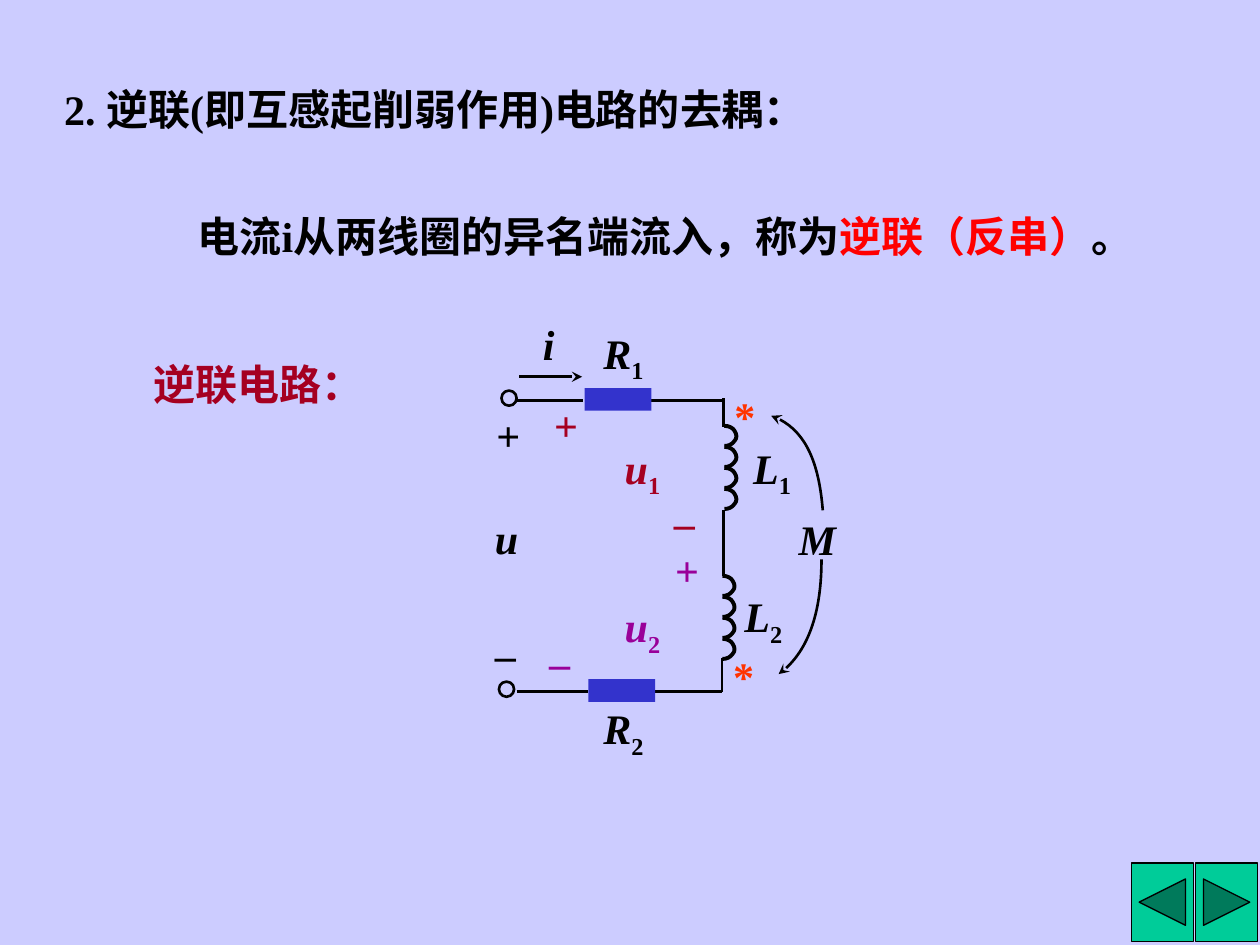
from pptx import Presentation
from pptx.dml.color import RGBColor
from pptx.enum.shapes import MSO_CONNECTOR, MSO_SHAPE
from pptx.enum.text import MSO_AUTO_SIZE
from pptx.oxml.ns import qn
from pptx.util import Inches, Pt
from lxml import etree

STRAIGHT = MSO_CONNECTOR.STRAIGHT
RECTANGLE = MSO_SHAPE.RECTANGLE
OVAL = MSO_SHAPE.OVAL
PREVIOUS = MSO_SHAPE.ACTION_BUTTON_BACK_OR_PREVIOUS
NEXT = MSO_SHAPE.ACTION_BUTTON_FORWARD_OR_NEXT
GROW = MSO_AUTO_SIZE.SHAPE_TO_FIT_TEXT

LAVENDER = RGBColor(0xCC, 0xCC, 0xFF)
BLACK = RGBColor(0, 0, 0)
RED = RGBColor(0xFF, 0, 0)
CRIMSON = RGBColor(0xA5, 0, 0x21)
PURPLE = RGBColor(0x99, 0, 0x99)
ORANGE = RGBColor(0xFF, 0x33, 0)
BLUE = RGBColor(0x33, 0x33, 0xCC)
GREEN = RGBColor(0, 0xCC, 0x99)

TURN = [(0, 0), (0.04, 0), (0.07, 0.02), (0.08, 0.04), (0.1, 0.07),
        (0.1, 0.1), (0.08, 0.12), (0.06, 0.15), (0.03, 0.16), (0, 0.16)]
TURN_COUNT = 4
TURN_PITCH = 0.5 / 3

WIRES = [
    ((4.1, 3.18), (4.63, 3.18)), ((5.17, 3.18), (5.74, 3.18)),
    ((5.74, 3.16), (5.74, 3.39)), ((5.74, 4.05), (5.74, 4.57)),
    ((5.73, 5.22), (5.73, 5.49)), ((5.2, 5.49), (5.73, 5.49)),
    ((4.1, 5.49), (4.67, 5.49)),
]
COUPLING_ARCS = [
    [(6.53, 4.05), (6.5, 3.67), (6.37, 3.38), (6.12, 3.3)],
    [(6.52, 4.44), (6.52, 4.85), (6.4, 5.2), (6.18, 5.35)],
]
VARIABLES = [
    (4.21, 2.48, 0.29, "i", "", BLACK), (3.83, 4.02, 0.39, "u", "", BLACK),
    (6.24, 4.03, 0.5, "M", "", BLACK),
    (4.69, 2.55, 0.54, "R", "1", BLACK), (4.69, 5.53, 0.54, "R", "2", BLACK),
    (5.88, 3.46, 0.54, "L", "1", BLACK), (5.81, 4.64, 0.54, "L", "2", BLACK),
    (4.86, 3.46, 0.5, "u", "1", CRIMSON), (4.86, 4.72, 0.5, "u", "2", PURPLE),
]
SIGNS = [
    (3.84, 3.2, 0.58, "+", BLACK), (3.83, 4.94, 0.42, "–", BLACK),
    (4.3, 3.12, 0.58, "+", CRIMSON), (5.25, 3.89, 0.42, "–", CRIMSON),
    (5.26, 4.27, 0.58, "+", PURPLE), (4.26, 5, 0.42, "–", PURPLE),
    (5.73, 3.05, 0.37, "*", ORANGE), (5.72, 5.11, 0.37, "*", ORANGE),
]


def style_line(line, width, arrow=False):
    """Draw a black line, with a stealth head at its end on request."""
    line.color.rgb = BLACK
    line.width = Pt(width)
    if arrow:
        etree.SubElement(line._get_or_add_ln(), qn("a:tailEnd"), type="stealth")


def add_text(page, left, top, width, spans, wrap=True):
    """Add a text box from (text, colour, italic, baseline) spans."""
    box = page.shapes.add_textbox(Inches(left), Inches(top), Inches(width), Inches(0.5))
    frame = box.text_frame
    frame.word_wrap = wrap
    frame.auto_size = GROW
    para = frame.paragraphs[0]
    for text, colour, italic, baseline in spans:
        span = para.add_run()
        span.text = text
        font = span.font
        font.name = "Times New Roman"
        font.size = Pt(24)
        font.bold = True
        font.italic = italic
        font.color.rgb = colour
        if baseline:
            font._element.set("baseline", str(baseline))


def add_variable(page, left, top, width, name, index, colour):
    """Add an italic symbol with an optional upright subscript."""
    spans = [(name, colour, True, 0)]
    if index:
        spans.append((index, colour, False, -25000))
    add_text(page, left, top, width, spans, wrap=False)


def add_line(page, start, end, arrow=False):
    """Add a straight wire or arrow."""
    line = page.shapes.add_connector(STRAIGHT, *(Inches(value) for value in start + end))
    style_line(line.line, 1.5, arrow)
    etree.SubElement(line._element.spPr, qn("a:effectLst"))


def add_curve(page, points, width, arrow=False):
    """Add an open outline of cubic curves, three points to each curve."""
    corners = [(Inches(x), Inches(y)) for x, y in points]
    builder = page.shapes.build_freeform(*corners[0])
    builder.add_line_segments(corners[1:], close=False)
    curve = builder.convert_to_shape()
    steps = list(curve._element.iter(qn("a:lnTo")))
    for first in range(0, len(steps), 3):
        cubic = etree.Element(qn("a:cubicBezTo"))
        steps[first].addprevious(cubic)
        for step in steps[first:first + 3]:
            cubic.append(step[0])
            step.getparent().remove(step)
    curve.shadow.inherit = False
    curve.fill.background()
    style_line(curve.line, width, arrow)


def add_coil(page, left, top):
    """Add an inductor of equal turns, running downwards."""
    for number in range(TURN_COUNT):
        start = top + number * TURN_PITCH
        add_curve(page, [(left + x, start + y) for x, y in TURN], 2.25)


def add_preset(page, kind, left, top, width, height, fill=None, line_width=None):
    """Add a preset shape with optional fill and outline."""
    shape = page.shapes.add_shape(kind, Inches(left), Inches(top), Inches(width), Inches(height))
    shape.shadow.inherit = False
    if fill is None:
        shape.fill.background()
    else:
        shape.fill.solid()
        shape.fill.fore_color.rgb = fill
    if line_width is None:
        shape.line.fill.background()
    else:
        style_line(shape.line, line_width)


def add_circuit(page):
    """Draw the series-opposing circuit with its labels."""
    for start, end in WIRES:
        add_line(page, start, end)
    add_line(page, (4.12, 2.99), (4.62, 2.99), arrow=True)
    for left, top in [(3.98, 3.1), (3.96, 5.41)]:
        add_preset(page, OVAL, left, top, 0.12, 0.12, line_width=1.5)
    for left, top in [(4.64, 3.08), (4.67, 5.39)]:
        add_preset(page, RECTANGLE, left, top, 0.53, 0.18, BLUE)
    for left, top in [(5.75, 3.38), (5.735, 4.57)]:
        add_coil(page, left, top)
    for points in COUPLING_ARCS:
        add_curve(page, points, 1.5, arrow=True)
    for variable in VARIABLES:
        add_variable(page, *variable)
    for left, top, width, sign, colour in SIGNS:
        add_text(page, left, top, width, [(sign, colour, False, 0)])


def main():
    """Build the slide and save it."""
    deck = Presentation()
    deck.slide_width, deck.slide_height = Inches(10), Inches(7.5)
    page = deck.slides.add_slide(deck.slide_layouts[6])
    page.background.fill.solid()
    page.background.fill.fore_color.rgb = LAVENDER
    for kind, left in [(PREVIOUS, 8.98), (NEXT, 9.49)]:
        add_preset(page, kind, left, 6.85, 0.49, 0.62, GREEN, 0.75)
    add_circuit(page)
    add_text(page, 1.12, 2.8, 1.94, [("逆联电路：", CRIMSON, False, 0)])
    add_text(page, 0.41, 0.61, 6.85,
             [("2. 逆联(即互感起削弱作用)电路的去耦：", BLACK, False, 0)])
    add_text(page, 1.47, 1.62, 7.82, [
        ("电流i从两线圈的异名端流入，称为", BLACK, False, 0),
        ("逆联（反串）", RED, False, 0),
        ("。", BLACK, False, 0),
    ], wrap=False)
    deck.save("out.pptx")


if __name__ == "__main__":
    main()
